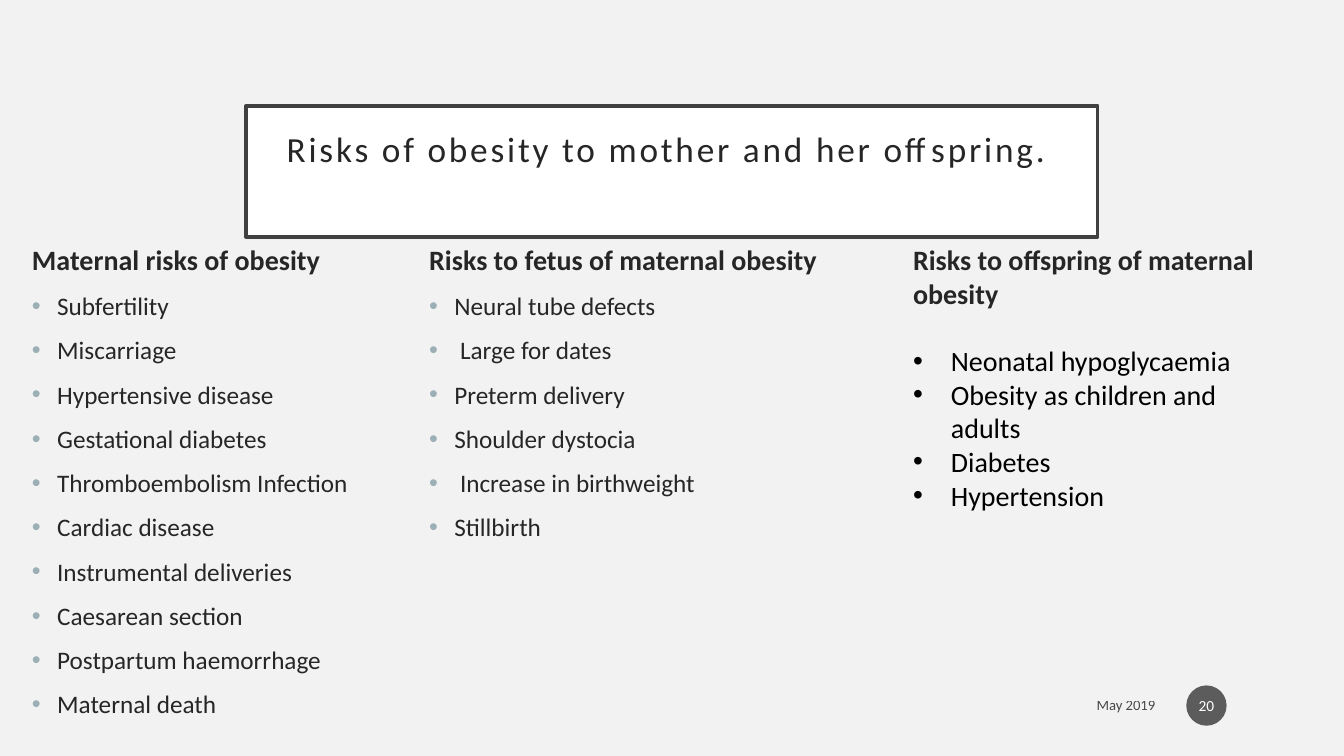
from lxml import etree
from pptx import Presentation
from pptx.dml.color import RGBColor
from pptx.enum.shapes import MSO_SHAPE
from pptx.enum.text import MSO_ANCHOR, PP_ALIGN
from pptx.oxml.ns import qn
from pptx.util import Pt

RECTANGLE, OVAL = MSO_SHAPE.RECTANGLE, MSO_SHAPE.OVAL
TOP, MIDDLE = MSO_ANCHOR.TOP, MSO_ANCHOR.MIDDLE
LEFT, CENTER, RIGHT = PP_ALIGN.LEFT, PP_ALIGN.CENTER, PP_ALIGN.RIGHT
INK = "262626"


def paint(color_format, color, opacity=100):
    color_format.rgb = RGBColor.from_string(color)
    if opacity < 100:
        for node in color_format._xFill.iter(qn("a:srgbClr")):
            etree.SubElement(node, qn("a:alpha"), val=str(opacity * 1000))


def style(para, size, color, align=LEFT, bold=False):
    para.alignment = align
    span = para.runs[0].font
    span.name, span.size, span.bold = "Calibri", Pt(size), bold
    span.fill.solid()
    span.fill.fore_color.rgb = RGBColor.from_string(color)
    return span


deck = Presentation()
deck.slide_width, deck.slide_height = Pt(960), Pt(540)
page = deck.slides.add_slide(deck.slide_layouts[6])
page.background.fill.solid()
paint(page.background.fill.fore_color, "F2F2F2")

title = page.shapes.add_shape(RECTANGLE, Pt(175.7), Pt(75.6), Pt(608.4), Pt(93.6))
title.shadow.inherit = False
title.fill.solid()
paint(title.fill.fore_color, "FFFFFF")
paint(title.line.color, "404040")
title.line.width = Pt(2.5)
frame = title.text_frame
frame.text = "Risks of obesity to mother and her offspring."
frame.vertical_anchor = TOP
frame.margin_left, frame.margin_right = Pt(14.4), Pt(22)
frame.margin_top = Pt(19)
frame.paragraphs[0].line_spacing = 0.9
style(frame.paragraphs[0], 25.2, INK, CENTER)
frame.paragraphs[0].runs[0]._r.get_or_add_rPr().set("spc", "200")

columns = [
    (15.8, 269.3, 357.1, 18, INK, 18, 10, 10, "9BAFB5",
     ["Maternal risks of obesity", "Subfertility", "Miscarriage",
      "Hypertensive disease", "Gestational diabetes",
      "Thromboembolism Infection", "Cardiac disease",
      "Instrumental deliveries", "Caesarean section",
      "Postpartum haemorrhage", "Maternal death"]),
    (299.5, 324, 357.1, 18, INK, 18, 10, 10, "9BAFB5",
     ["Risks to fetus of maternal obesity", "Neural tube defects",
      " Large for dates", "Preterm delivery", "Shoulder dystocia",
      " Increase in birthweight", "Stillbirth"]),
    (645.1, 269.3, 200.9, 20, "000000", 27, 24, 0, "000000",
     ["Risks to offspring of maternal obesity", "Neonatal hypoglycaemia",
      "Obesity as children and adults", "Diabetes", "Hypertension"]),
]
for left, width, height, size, color, indent, first_gap, gap, bullet_color, lines in columns:
    box = page.shapes.add_textbox(Pt(left), Pt(169.9), Pt(width), Pt(height))
    frame = box.text_frame
    frame.word_wrap = True
    frame.text = "\n".join(lines)
    heading, *items = frame.paragraphs
    style(heading, 20, INK, bold=True)
    for number, para in enumerate(items):
        para.space_before = Pt(gap if number else first_gap)
        props = para._p.get_or_add_pPr()
        props.set("marL", str(Pt(indent)))
        props.set("indent", str(-Pt(indent)))
        tint = etree.SubElement(props, qn("a:buClr"))
        etree.SubElement(tint, qn("a:srgbClr"), val=bullet_color)
        etree.SubElement(props, qn("a:buFont"), typeface="Arial")
        etree.SubElement(props, qn("a:buChar"), char="•")
        style(para, size, color)

date = page.shapes.add_textbox(Pt(615.6), Pt(491), Pt(216.7), Pt(25.2))
date.text_frame.word_wrap = True
date.text_frame.text = "May 2019"
date.text_frame.vertical_anchor = MIDDLE
date_font = style(date.text_frame.paragraphs[0], 10.5, "000000", RIGHT)

badge = page.shapes.add_shape(OVAL, Pt(847.4), Pt(489.6), Pt(28.8), Pt(28.8))
badge.shadow.inherit = False
badge.fill.solid()
badge.line.fill.background()
frame = badge.text_frame
frame.text = "20"
frame.vertical_anchor = MIDDLE
frame.margin_left = frame.margin_right = Pt(1.4)
style(frame.paragraphs[0], 11, "FFFFFF", CENTER)

for fill, color in ((date_font.fill, "000000"), (badge.fill, "1D1D1D")):
    paint(fill.fore_color, color, 70)

deck.save("out.pptx")
